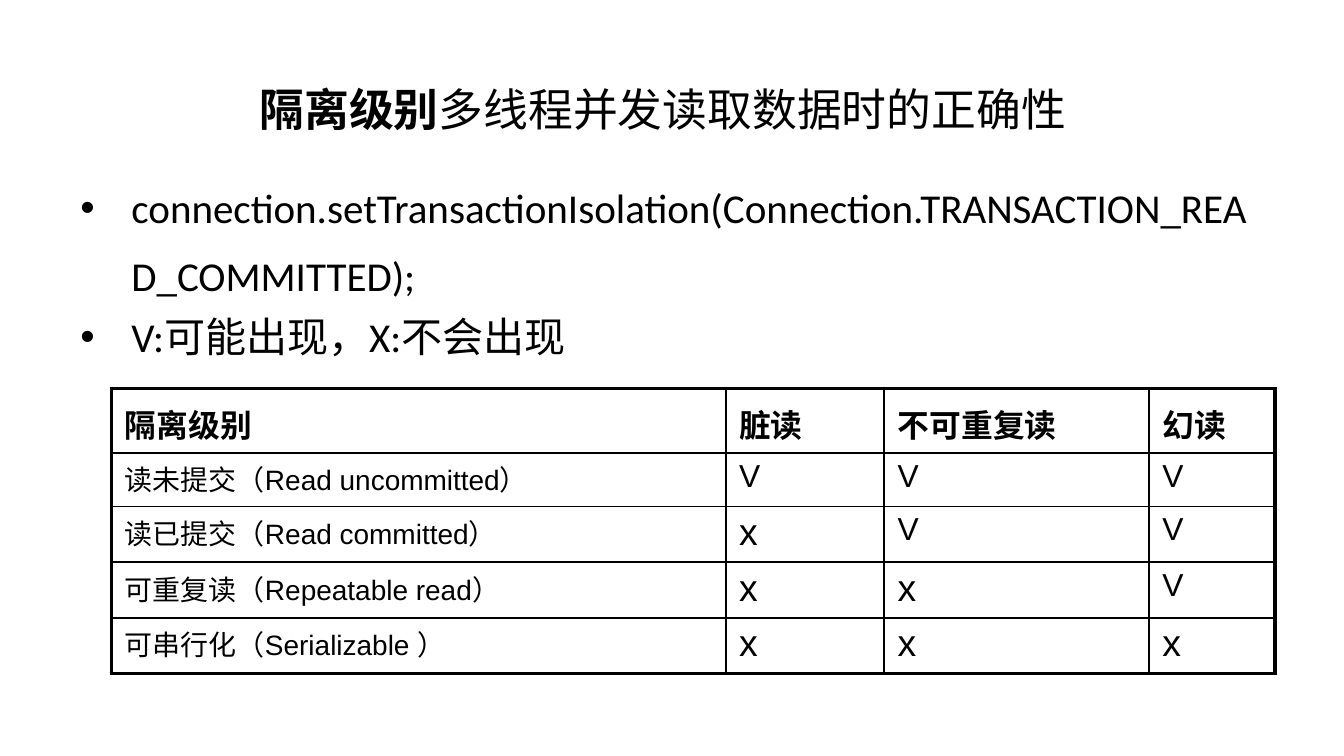
from lxml import etree
from pptx import Presentation
from pptx.dml.color import RGBColor
from pptx.enum.text import MSO_ANCHOR, PP_ALIGN
from pptx.oxml.ns import qn
from pptx.util import Inches, Pt

MIDDLE = MSO_ANCHOR.MIDDLE
CENTER = PP_ALIGN.CENTER
COLORS = {"ink": "000000"}
INK = RGBColor.from_string(COLORS["ink"])


def write(par, face, runs, space=True):
    par.font.name = face
    par.font.color.rgb = INK
    for text, size, bold in runs:
        run = par.add_run()
        run.text = text
        run.font.size = Pt(size)
        run.font.bold = bold
    if space:
        before = etree.Element(qn("a:spcBef"))
        etree.SubElement(before, qn("a:spcPct"), val="20000")
        par._p.get_or_add_pPr().insert(0, before)


def edge(cell, side, index, width):
    line = etree.Element(qn("a:" + side), w=str(Pt(width)))
    fill = etree.SubElement(line, qn("a:solidFill"))
    etree.SubElement(fill, qn("a:srgbClr"), val=COLORS["ink"])
    cell._tc.get_or_add_tcPr().insert(index, line)


prs = Presentation()
prs.slide_width = Inches(10)
prs.slide_height = Inches(10 * 9 / 16)
slide = prs.slides.add_slide(prs.slide_layouts[6])

title = slide.shapes.add_textbox(Inches(0.5), Inches(0.23), Inches(9), Inches(0.94))
frame = title.text_frame
frame.word_wrap = True
frame.vertical_anchor = MIDDLE
frame.paragraphs[0].alignment = CENTER
write(frame.paragraphs[0], "Calibri", [
    ("隔离级别", 24, True), ("多线程并发读取数据时的正确性", 24, False), (" ", 44, False),
], space=False)

points = [
    [("connection.setTransactionIsolation(Connection.TRANSACTION_READ_COMMITTED);", 22, False),
     (" ", 32, False)],
    [("V:可能出现，X:不会出现", 22, False)],
]
body = slide.shapes.add_textbox(Inches(0.5), Inches(1.31), Inches(9), Inches(3.71))
frame = body.text_frame
frame.word_wrap = True
for i, runs in enumerate(points):
    par = frame.add_paragraph() if i else frame.paragraphs[0]
    write(par, "Calibri", runs)
    props = par._p.get_or_add_pPr()
    props.set("marL", str(Inches(0.38)))
    props.set("indent", str(Inches(-0.38)))
    props.insert(1, etree.Element(qn("a:buFont"), typeface="Arial"))
    props.insert(2, etree.Element(qn("a:buChar"), char="•"))

rows = [
    ["隔离级别", "脏读", "不可重复读", "幻读"],
    ["读未提交（Read uncommitted）", "V", "V", "V"],
    ["读已提交（Read committed）", "x", "V", "V"],
    ["可重复读（Repeatable read）", "x", "x", "V"],
    ["可串行化（Serializable ）", "x", "x", "x"],
]
widths = [4.57, 1.18, 1.97, 0.94]
heights = [0.48, 0.4, 0.41, 0.41, 0.41]
sizes = {"V": 17, "x": 20}
last_row, last_col = len(rows) - 1, len(widths) - 1
table = slide.shapes.add_table(
    len(rows), len(widths), Inches(0.83), Inches(2.89),
    Inches(sum(widths)), Inches(sum(heights))).table
table.first_row = False
table.horz_banding = False
for col, width in zip(table.columns, widths):
    col.width = Inches(width)
for r, texts in enumerate(rows):
    table.rows[r].height = Inches(heights[r])
    for c, text in enumerate(texts):
        cell = table.cell(r, c)
        cell.margin_left = cell.margin_right = Inches(0.1)
        cell.margin_top = cell.margin_bottom = Inches(0.04)
        cell.fill.background()
        if r == 0:
            runs = [(text, 17, True), (" ", 20, False)]
        else:
            runs = [(text, sizes.get(text, 15), False)]
        write(cell.text_frame.paragraphs[0], "Arial", runs)
        outer = {"lnL": c == 0, "lnR": c == last_col, "lnT": r == 0, "lnB": r == last_row}
        for i, (side, thick) in enumerate(outer.items()):
            edge(cell, side, i, 2.25 if thick else 1)

prs.save("out.pptx")
